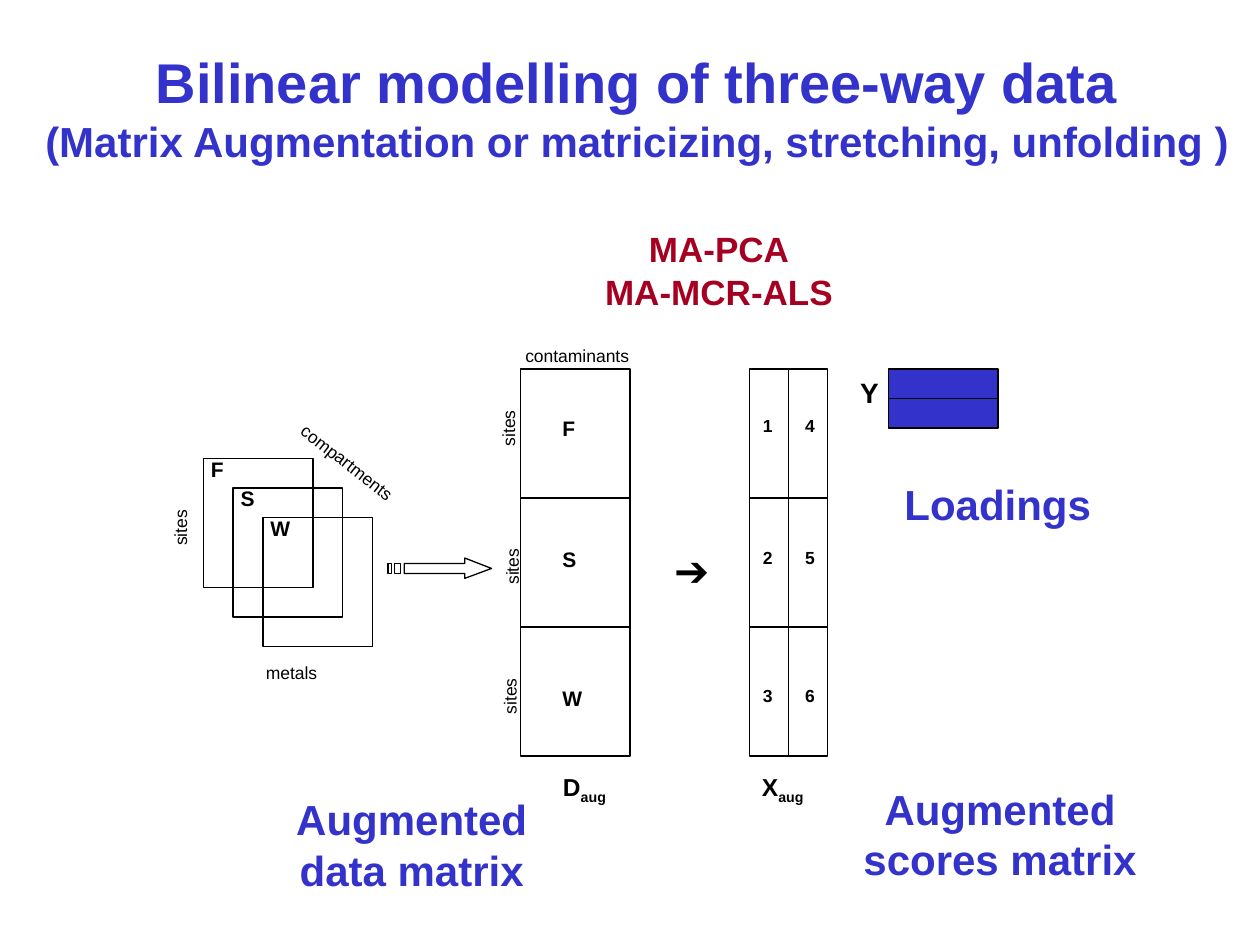
import pptx
import pptx.dml.color
import pptx.enum.shapes
import pptx.enum.text
import pptx.util
from lxml import etree
from pptx.oxml.ns import qn

Cm = pptx.util.Cm
CENTER = pptx.enum.text.PP_ALIGN.CENTER
BLUE, RED, BLACK = "3333CC", "A50021", "000000"
CELL_W, CELL_H, SCORE_W = 2.21, 2.6, 0.79
TOP, DATA_X, SCORE_X = 7.44, 10.49, 15.11
PLAIN = {"size": pptx.util.Pt(10), "bold": False}
NUMBER = {"size": pptx.util.Pt(10), "bold": True}
LETTER = {"size": pptx.util.Pt(12), "bold": True}
SYMBOL = {"size": pptx.util.Pt(14), "bold": True}
AXIS = {"size": pptx.util.Pt(16), "bold": True}
METHOD = {"size": pptx.util.Pt(20), "bold": True}
HEADING = {"size": pptx.util.Pt(24), "bold": True}
TITLE = {"size": pptx.util.Pt(32), "bold": True}
ARROW = {"size": pptx.util.Pt(24), "bold": False}


def rgb(value):
    """Return the colour for a hex string."""
    return pptx.dml.color.RGBColor.from_string(value)


def outline(sp, fill=None):
    """Give a shape a thin black line and an optional fill."""
    sp.shadow.inherit = False
    sp.line.color.rgb = rgb(BLACK)
    sp.line.width = pptx.util.Pt(0.75)
    if fill:
        sp.fill.solid()
        sp.fill.fore_color.rgb = rgb(fill)
    else:
        sp.fill.background()


def add_box(s, x, y, w, h, fill=None):
    """Add an outlined rectangle."""
    sp = s.shapes.add_shape(
        pptx.enum.shapes.MSO_SHAPE.RECTANGLE, Cm(x), Cm(y), Cm(w), Cm(h))
    outline(sp, fill)
    return sp


def add_run(p, text, fmt, color):
    """Add a formatted run to a paragraph."""
    r = p.add_run()
    r.text = text
    for name, value in fmt.items():
        setattr(r.font, name, value)
    r.font.name = "Arial"
    r.font.color.rgb = rgb(color)
    return r


def add_text(s, x, y, w, h, lines, color=BLACK, wrap=True, rotation=0, para=None):
    """Add a text box from (text, format) lines and return its frame."""
    sp = s.shapes.add_textbox(Cm(x), Cm(y), Cm(w), Cm(h))
    sp.rotation = rotation
    tf = sp.text_frame
    tf.word_wrap = wrap
    tf.auto_size = pptx.enum.text.MSO_AUTO_SIZE.SHAPE_TO_FIT_TEXT
    for i, (text, fmt) in enumerate(lines):
        p = tf.add_paragraph() if i else tf.paragraphs[0]
        for name, value in (para or {}).items():
            setattr(p, name, value)
        add_run(p, text, fmt, color)
    return tf


def add_symbol(s, x, letter):
    """Add a matrix symbol with the subscript aug."""
    tf = add_text(s, x, 15.44, 1.6, 0.94, [(letter, SYMBOL)])
    r = add_run(tf.paragraphs[0], "aug", SYMBOL, BLACK)
    r.font._element.set("baseline", "-25000")


def add_striped_arrow(s):
    """Add the thin striped arrow as one outline of three parts."""
    top, bottom = 1136, 1156
    head = [(937, 1125), (937, top), (815, top), (815, bottom),
            (937, bottom), (937, 1166), (991, 1146)]
    stripes = [[(x, top), (x, bottom), (x + w, bottom), (x + w, top)]
               for x, w in ((795, 13), (782, 8))]
    fb = s.shapes.build_freeform(*head[0], scale=float(Cm(0.01)))
    fb.add_line_segments(head[1:], close=True)
    for stripe in stripes:
        fb.move_to(*stripe[0])
        fb.add_line_segments(stripe[1:], close=True)
    outline(fb.convert_to_shape())


def add_cube(s):
    """Add the three overlapping data slices and their labels."""
    for i, letter in enumerate("FSW"):
        x, y = 4.1 + 0.6 * i, 9.24 + 0.6 * i
        add_box(s, x, y, CELL_W, CELL_H)
        add_text(s, x - 0.1, y - 0.17, 0.81, 0.76, [(letter, LETTER)])
    add_text(s, 5.11, 13.23, 3.2, 0.69, [("metals", PLAIN)])
    add_text(s, 5.54, 9.25, 3.61, 0.69, [("compartments", PLAIN)], rotation=37.7)
    add_text(s, 2.84, 10.11, 1.6, 0.69, [("sites", PLAIN)], rotation=270)


def add_matrices(s):
    """Add the augmented data and scores matrices, one row per slice."""
    rows = zip("FSW", (8.25, 10.9, 13.69), (9.55, 9.63, 9.58), (8.2, 10.99, 13.6))
    for i, (letter, y, sites_x, sites_y) in enumerate(rows):
        row_y = TOP + CELL_H * i
        add_box(s, DATA_X, row_y, CELL_W, CELL_H)
        add_text(s, DATA_X + 0.6, y, 0.81, 0.76, [(letter, LETTER)])
        add_text(s, sites_x, sites_y, 1.4, 0.69, [("sites", PLAIN)], rotation=270)
        for col in range(2):
            add_box(s, SCORE_X + SCORE_W * col, row_y, SCORE_W, CELL_H)
            add_text(s, 15.13 + 0.85 * col, y, 0.81, 0.69,
                     [(str(1 + i + 3 * col), NUMBER)])
    add_text(s, 10.34, 6.83, 3.2, 0.69, [("contaminants", PLAIN)])
    add_symbol(s, 11.1, "D")
    add_symbol(s, SCORE_X, "X")


def add_loadings(s):
    """Add the loadings matrix, split in two rows."""
    sp = add_box(s, 17.91, TOP, CELL_W, 1.19, BLUE)
    c = s.shapes.add_connector(pptx.enum.shapes.MSO_CONNECTOR.STRAIGHT, 0, 0, 0, 0)
    c.begin_connect(sp, 1)
    c.end_connect(sp, 3)
    c.line.color.rgb = rgb(BLACK)
    c.line.width = pptx.util.Pt(0.75)
    etree.SubElement(c._element.spPr, qn("a:effectLst"))
    add_text(s, 17.09, 7.44, 1.19, 0.94, [("Y", AXIS)])


def add_headings(s):
    """Add the title, the method names and the blue captions."""
    title = [("Bilinear modelling of three-way data", TITLE),
             ("(Matrix Augmentation or matricizing, stretching, unfolding )", HEADING)]
    captions = [
        (0.64, 0.84, 24.41, 2.64, title),
        (5.72, 15.88, 5.16, 2.29, [("Augmented", HEADING), ("data matrix", HEADING)]),
        (17.15, 15.67, 6.02, 2.29, [("Augmented", HEADING), ("scores matrix", HEADING)]),
        (17.98, 9.53, 4.27, 1.27, [("Loadings", HEADING)]),
    ]
    for caption in captions:
        add_text(s, *caption, color=BLUE, wrap=False, para={"alignment": CENTER})
    tf = add_text(s, 11, 4.83, 6.99, 1.55, [("MA-PCA", METHOD), ("MA-MCR-ALS", METHOD)],
                  RED, para={"alignment": CENTER, "line_spacing": 0.5})
    tf.paragraphs[1].space_before = pptx.util.Pt(12.5)


def main():
    """Build the slide and save it."""
    prs = pptx.Presentation()
    prs.slide_width, prs.slide_height = Cm(25.4), Cm(19.05)
    s = prs.slides.add_slide(prs.slide_layouts[6])
    add_cube(s)
    add_striped_arrow(s)
    add_matrices(s)
    add_text(s, 13.34, 10.85, 2.36, 1.27, [("➔", ARROW)])
    add_loadings(s)
    add_headings(s)
    prs.save("out.pptx")


if __name__ == "__main__":
    main()
